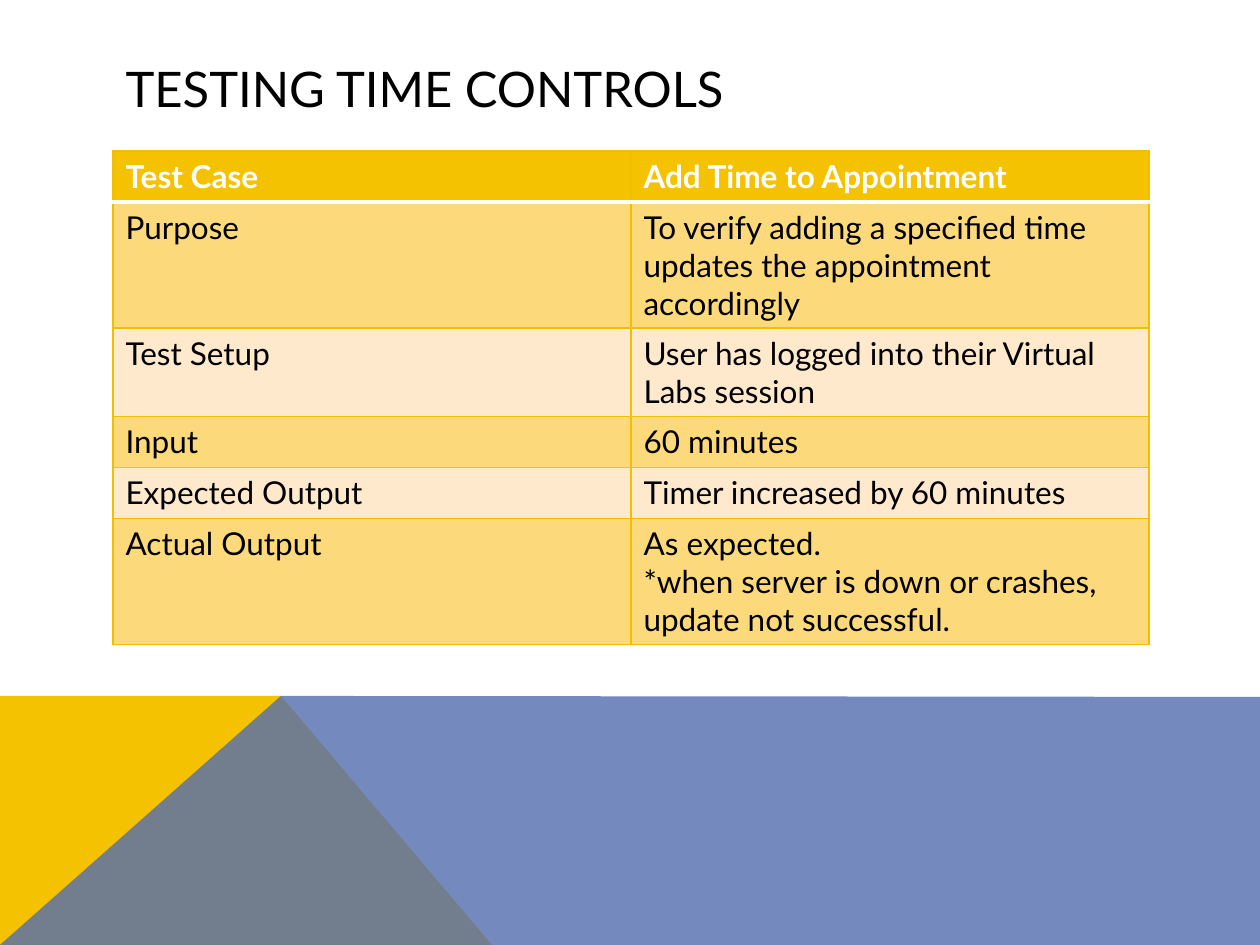
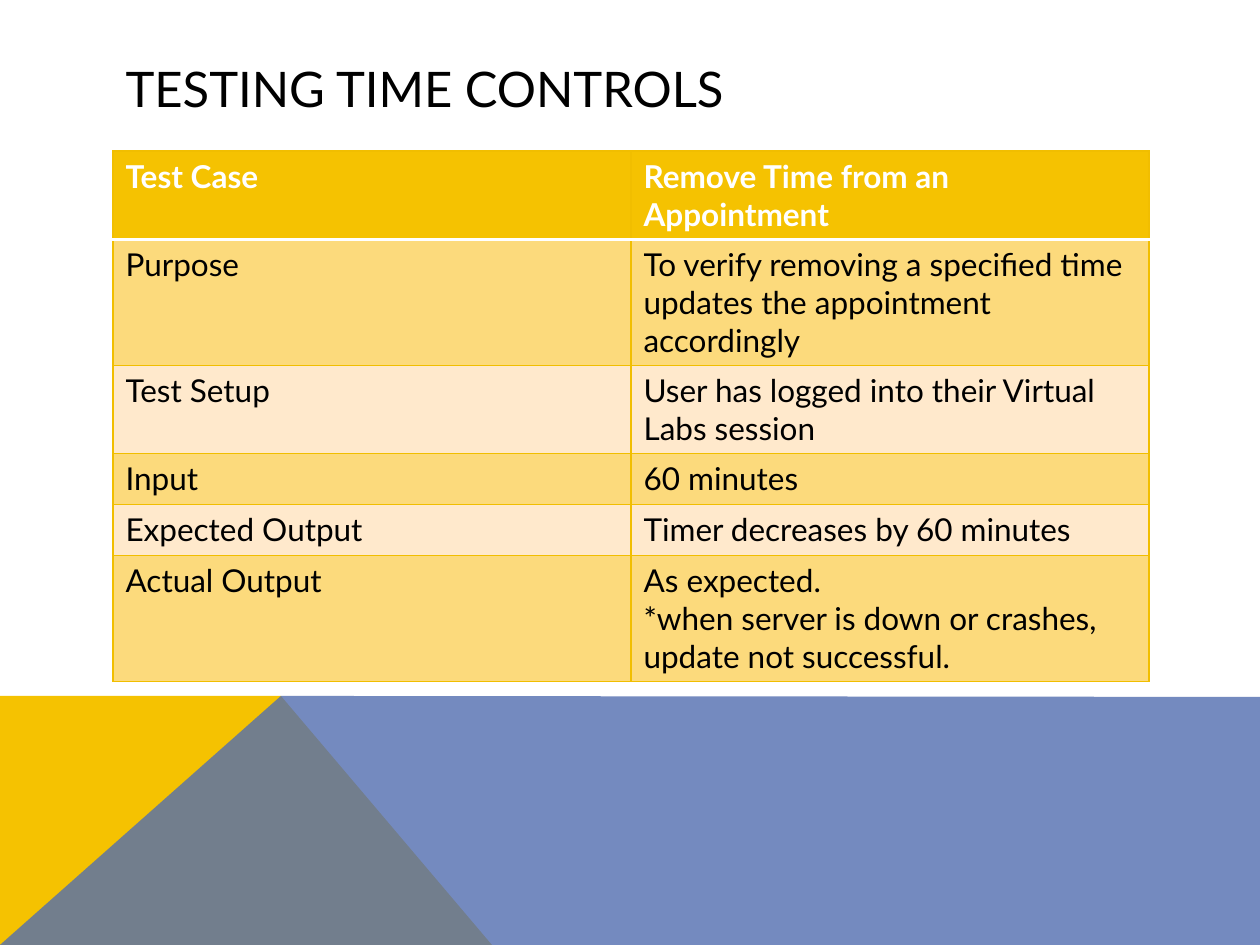
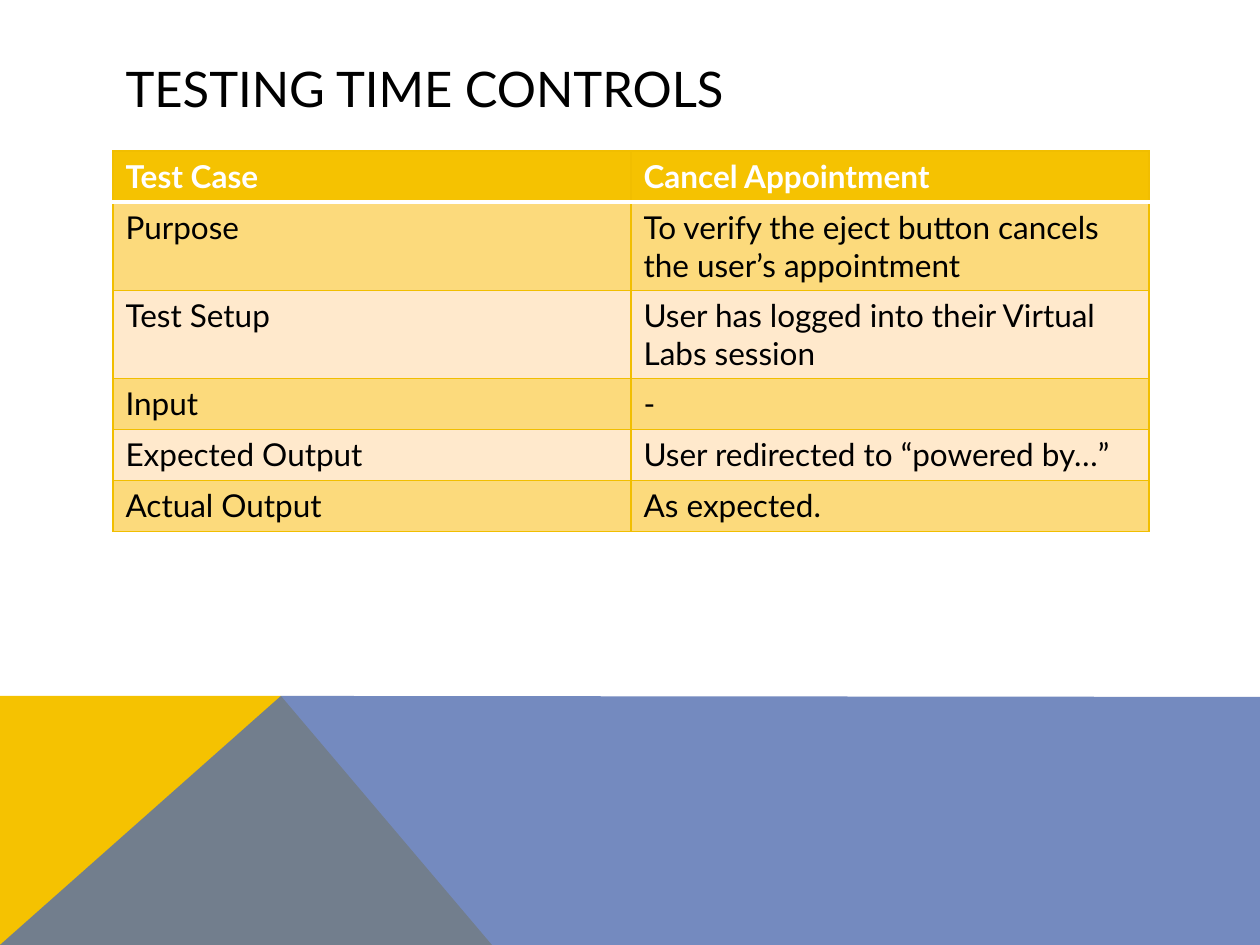
from lxml.etree import SubElement
from pptx import Presentation
from pptx.dml.color import RGBColor
from pptx.enum.text import MSO_ANCHOR, MSO_AUTO_SIZE, PP_ALIGN
from pptx.oxml.ns import qn
from pptx.util import Pt

MIDDLE = MSO_ANCHOR.MIDDLE
NO_AUTOFIT = MSO_AUTO_SIZE.NONE
LEFT = PP_ALIGN.LEFT

PX = 914400 / 126
FONT = "Lato"
COLORS = {
    "gold": "F5C201",
    "blue": "526DB0",
    "grid": "F1BE00",
    "dark row": "FCDA7C",
    "light row": "FFE9CC",
    "white": "FFFFFF",
    "black": "000000",
}

WIDTH, HEIGHT = 1260, 945
MARGIN, COLUMN_WIDTH, ROW_HEIGHT = 113, 518, 51
TITLE_TOP, TITLE_HEIGHT, TABLE_TOP = 50, 76, 151
BAND_TOP, PEAK, FOOT = 696, 281, 492

BANDS = [
    ("gold", 100, [(0, HEIGHT), (0, BAND_TOP), (PEAK, BAND_TOP), (FOOT, HEIGHT)]),
    ("blue", 80, [(0, HEIGHT), (PEAK, BAND_TOP), (WIDTH, BAND_TOP + 1), (WIDTH, HEIGHT)]),
]

TITLE = "TESTING TIME CONTROLS"
FIELDS = ["Test Case", "Purpose", "Test Setup", "Input", "Expected Output", "Actual Output"]
SETUP = "User has logged into their Virtual Labs session"
SERVER_NOTE = "As expected.\n*when server is down or crashes, update not successful."
TEST_CASES = [
    [
        "Add Time to Appointment",
        "To verify adding a specified time updates the appointment accordingly",
        SETUP,
        "60 minutes",
        "Timer increased by 60 minutes",
        SERVER_NOTE,
    ],
    [
        "Remove Time from an Appointment",
        "To verify removing a specified time updates the appointment accordingly",
        SETUP,
        "60 minutes",
        "Timer decreases by 60 minutes",
        SERVER_NOTE,
    ],
    [
        "Cancel Appointment",
        "To verify the eject button cancels the user’s appointment",
        SETUP,
        "-",
        "User redirected to “powered by…”",
        "As expected.",
    ],
]


def px(length):
    return round(length * PX)


def format_text(text_frame, size, color, bold=False):
    for paragraph in text_frame.paragraphs:
        paragraph.alignment = LEFT
        for run in paragraph.runs:
            run.font.name = FONT
            run.font.size = Pt(size)
            run.font.bold = bold
            run.font.color.rgb = RGBColor.from_string(COLORS[color])


prs = Presentation()
prs.slide_width, prs.slide_height = px(WIDTH), px(HEIGHT)

layout = prs.slide_layouts[5]
layout_title, *layout_footers = layout.placeholders
for footer in layout_footers:
    layout.shapes.element.remove(footer.element)
layout_title.left, layout_title.top = px(MARGIN), px(TITLE_TOP)
layout_title.width, layout_title.height = px(2 * COLUMN_WIDTH), px(TITLE_HEIGHT)
layout_title.text_frame.vertical_anchor = MIDDLE
layout_title.text_frame.auto_size = NO_AUTOFIT

slides = [prs.slides.add_slide(layout) for _ in TEST_CASES]

bands = []
for color, opacity, points in BANDS:
    outline = slides[0].shapes.build_freeform(*points[0], scale=PX)
    outline.add_line_segments(points[1:], close=True)
    band = outline.convert_to_shape()
    band.shadow.inherit = False
    band.line.fill.background()
    band.fill.solid()
    band.fill.fore_color.rgb = RGBColor.from_string(COLORS[color])
    if opacity < 100:
        tint = band.element.spPr.find(qn("a:solidFill"))[0]
        SubElement(tint, qn("a:alpha"), val=str(opacity * 1000))
    bands.append(band)
for position, band in enumerate(bands, start=2):
    layout.shapes.element.insert(position, band.element)

for slide, results in zip(slides, TEST_CASES):
    slide.shapes.title.text_frame.text = TITLE
    format_text(slide.shapes.title.text_frame, 28, "black")

    table = slide.shapes.add_table(
        len(FIELDS), 2, px(MARGIN), px(TABLE_TOP),
        px(2 * COLUMN_WIDTH), px(ROW_HEIGHT * len(FIELDS)),
    ).table
    for column in table.columns:
        column.width = px(COLUMN_WIDTH)

    for row, texts in enumerate(zip(FIELDS, results)):
        table.rows[row].height = px(ROW_HEIGHT)
        header = row == 0
        row_color = "gold" if header else "dark row" if row % 2 else "light row"
        for column, text in enumerate(texts):
            cell = table.cell(row, column)
            cell.text_frame.text = text
            format_text(cell.text_frame, 18, "white" if header else "black", header)
            properties = cell._tc.get_or_add_tcPr()
            for side in "LRTB":
                under_header = (row, side) in [(0, "B"), (1, "T")]
                width, color = (2, "white") if under_header else (0.75, "grid")
                border = SubElement(properties, qn(f"a:ln{side}"), w=str(Pt(width)))
                border_fill = SubElement(border, qn("a:solidFill"))
                SubElement(border_fill, qn("a:srgbClr"), val=COLORS[color])
            cell.fill.solid()
            cell.fill.fore_color.rgb = RGBColor.from_string(COLORS[row_color])

prs.save("out.pptx")
